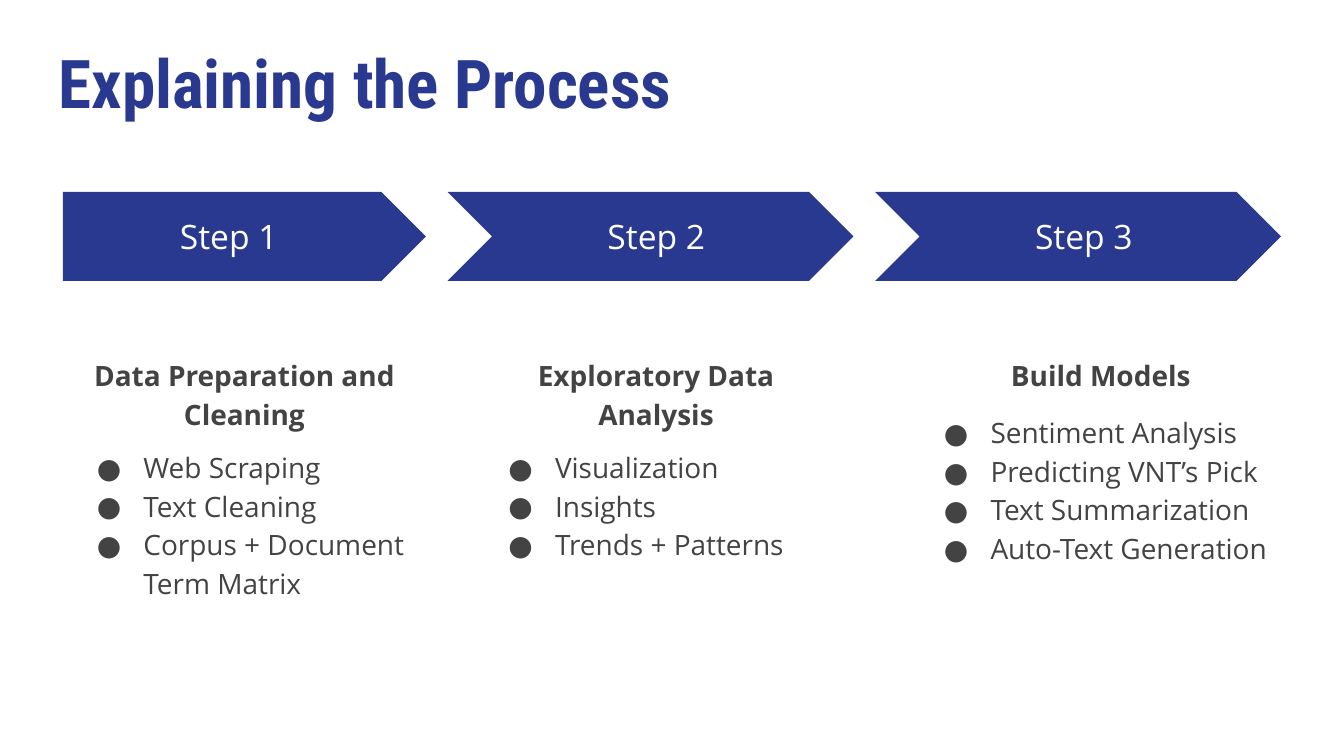
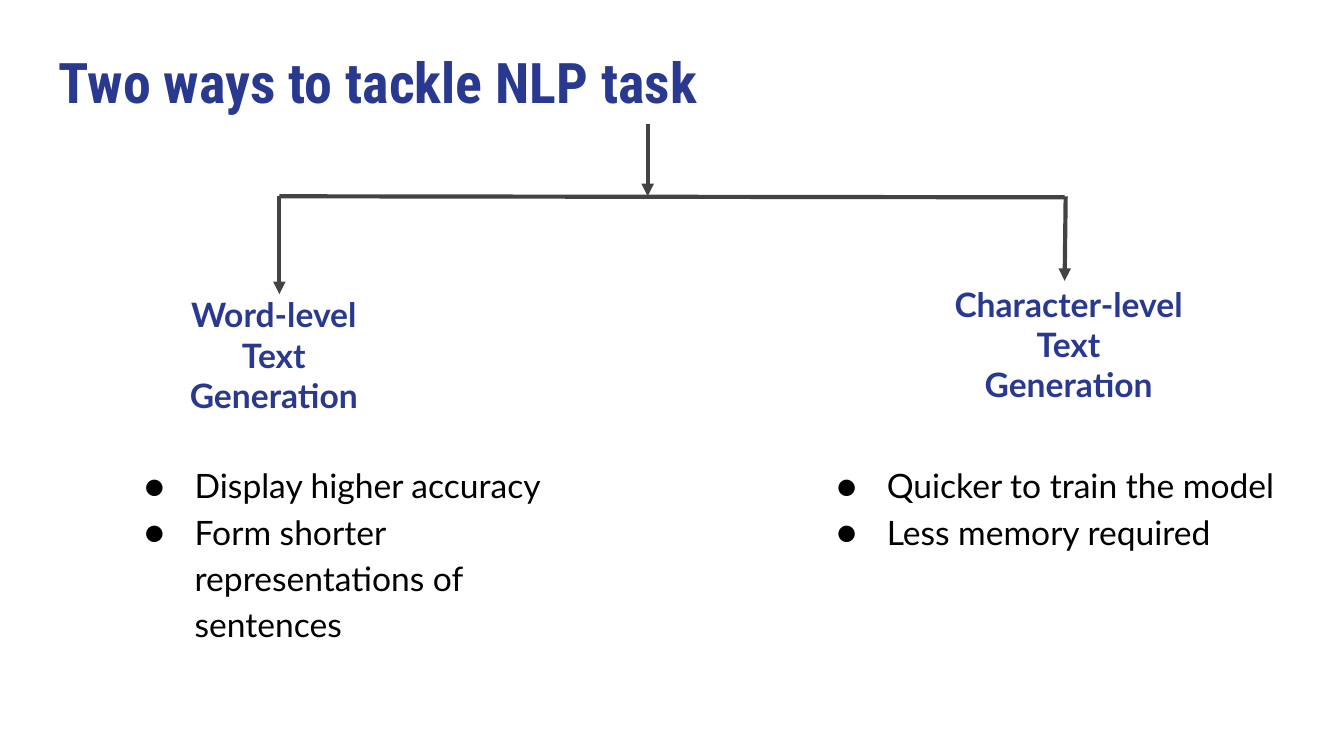
from dataclasses import dataclass
from lxml.etree import SubElement
from pptx import Presentation
from pptx.dml.color import RGBColor
from pptx.enum.shapes import MSO_CONNECTOR as Link, MSO_SHAPE as Form
from pptx.enum.text import MSO_ANCHOR as Anchor, MSO_AUTO_SIZE as Fit, PP_ALIGN as Align
from pptx.oxml.ns import qn
from pptx.util import Cm, Pt

BLUE, GREY, BLACK, WHITE = "2A3990", "434343", "000000", "FFFFFF"
HEAD, SANS, LATO = "Roboto Condensed", "Open Sans", "Lato"
LAYOUT = 4  # title and four bodies
PITCH = 8.08  # from one step to the next


@dataclass
class Box:
    left: float
    top: float
    width: float
    height: float


@dataclass
class Step:
    form: Form
    width: float
    topic: str
    items: list[str]
    box: Box
    gap: int


@dataclass
class Way:
    name: str
    head: Box
    items: list[str]
    left: float


@dataclass
class Line:
    start: tuple[float, float]
    end: tuple[float, float]
    arrow: bool = True


STEPS = [
    Step(Form.PENTAGON, 6.86, "Data Preparation and Cleaning",
         ["Web Scraping", "Text Cleaning", "Corpus + Document Term Matrix"],
         Box(1.19, 6.43, 6.86, 7.37), 8),
    Step(Form.CHEVRON, 7.67, "Exploratory Data Analysis",
         ["Visualization", "Insights", "Trends + Patterns"],
         Box(8.97, 6.43, 6.86, 7.37), 8),
    Step(Form.CHEVRON, 7.67, "Build Models",
         ["Sentiment Analysis", "Predicting VNT’s Pick",
          "Text Summarization", "Auto-Text Generation"],
         Box(17.2, 6.43, 7.21, 7.37), 10),
]

WAYS = [
    Way("Word-level Text Generation", Box(3.23, 5.31, 3.89, 2.54),
        ["Display higher accuracy", "Form shorter representations of sentences"], 2.16),
    Way("Character-level Text Generation", Box(17.68, 5.11, 5.03, 2.54),
        ["Quicker to train the model", "Less memory required"], 15.24),
]

LINES = [
    Line((5.28, 3.71), (20.12, 3.73), arrow=False),
    Line((5.28, 3.71), (5.28, 5.56)),
    Line((20.14, 3.71), (20.12, 5.31)),
    Line((12.24, 2.34), (12.24, 3.71)),
]


def paint(color, tone: str) -> None:
    color.rgb = RGBColor.from_string(tone)


def spots(box: Box) -> tuple:
    return Cm(box.left), Cm(box.top), Cm(box.width), Cm(box.height)


def place(shape, box: Box, anchor=Anchor.TOP):
    """Move a text shape, clear its autofit and return its frame."""
    shape.left, shape.top, shape.width, shape.height = spots(box)
    frame = shape.text_frame
    frame.word_wrap = True
    frame.auto_size = Fit.NONE
    frame.vertical_anchor = anchor
    frame.margin_left = frame.margin_right = Cm(0.25)
    frame.margin_top = frame.margin_bottom = Cm(0.25)
    return frame


def write(frame, text: str, *, size: int, font: str, tone: str, bold: bool = False,
          align=Align.LEFT, space: float = 1.0, before: int = 0, hang: float = 0) -> None:
    """Add one paragraph; a hang above zero makes it a list item."""
    para = frame.paragraphs[0]
    if para.runs:
        para = frame.add_paragraph()
    props = para._p.get_or_add_pPr()
    props.set("marL", str(Cm(1.27) if hang else 0))
    props.set("indent", str(-Cm(hang)))
    if hang:
        color = SubElement(props, qn("a:buClr"))
        SubElement(color, qn("a:srgbClr"), val=tone)
        SubElement(props, qn("a:buFont"), typeface=font)
        SubElement(props, qn("a:buChar"), char="●")
    else:
        SubElement(props, qn("a:buNone"))
    para.alignment = align
    para.line_spacing = space
    para.space_before = Pt(before)
    para.space_after = Pt(0)
    run = para.add_run()
    run.text = text
    run.font.size, run.font.name, run.font.bold = Pt(size), font, bold
    paint(run.font.color, tone)


def start(deck, title: str, top: float, size: int):
    """Add a slide with its title; return it with its body placeholders."""
    slide = deck.slides.add_slide(deck.slide_layouts[LAYOUT])
    frame = place(slide.shapes.title, Box(0.86, top, 23.67, 1.68))
    write(frame, title, size=size, font=HEAD, tone=BLUE, bold=True)
    bodies = [slide.placeholders[i] for i in range(1, 5)]
    return slide, bodies


def draw(slide, line: Line) -> None:
    link = slide.shapes.add_connector(
        Link.STRAIGHT, *(Cm(n) for n in line.start + line.end))
    paint(link.line.color, GREY)
    link.line.width = Pt(2.25)
    if line.arrow:
        SubElement(link.line._get_or_add_ln(), qn("a:tailEnd"), type="triangle")
    SubElement(link._element.spPr, qn("a:effectLst"))


def process(deck) -> None:
    slide, bodies = start(deck, "Explaining the Process", 0.53, 36)
    for i, step in enumerate(STEPS):
        shift = i * PITCH
        right = 8.05 + shift
        arrow = slide.shapes.add_shape(
            step.form, *spots(Box(right - step.width, 3.63, step.width, 1.68)))
        arrow.shadow.inherit = False
        arrow.fill.solid()
        paint(arrow.fill.fore_color, BLUE)
        arrow.line.fill.background()

        box = Box(1.19 + shift, 4.04, 6.27, 0.86)
        label = place(slide.shapes.add_textbox(*spots(box)), box, Anchor.MIDDLE)
        write(label, f"Step {i + 1}", size=18, font=SANS, tone=WHITE, align=Align.CENTER)

        style = dict(size=15, font=SANS, tone=GREY, space=1.15)
        frame = place(bodies[i], step.box)
        write(frame, step.topic, bold=True, align=Align.CENTER, **style)
        for n, item in enumerate(step.items):
            write(frame, item, hang=0.88, before=0 if n else step.gap, **style)
    spare = bodies[-1]._element
    spare.getparent().remove(spare)


def ways(deck) -> None:
    slide, bodies = start(deck, "Two ways to tackle NLP task", 0.64, 30)
    for line in LINES:
        draw(slide, line)
    for way, head, body in zip(WAYS, bodies[::2], bodies[1::2]):
        write(place(head, way.head), way.name, size=18, font=LATO, tone=BLUE,
              bold=True, align=Align.CENTER)
        frame = place(body, Box(way.left, 8.43, 9.58, 5.66))
        for item in way.items:
            write(frame, item, size=18, font=LATO, tone=BLACK, space=1.15, hang=0.95)


def main() -> None:
    deck = Presentation()
    deck.slide_width, deck.slide_height = Cm(25.4), Cm(14.29)
    process(deck)
    ways(deck)
    deck.save("out.pptx")


if __name__ == "__main__":
    main()
